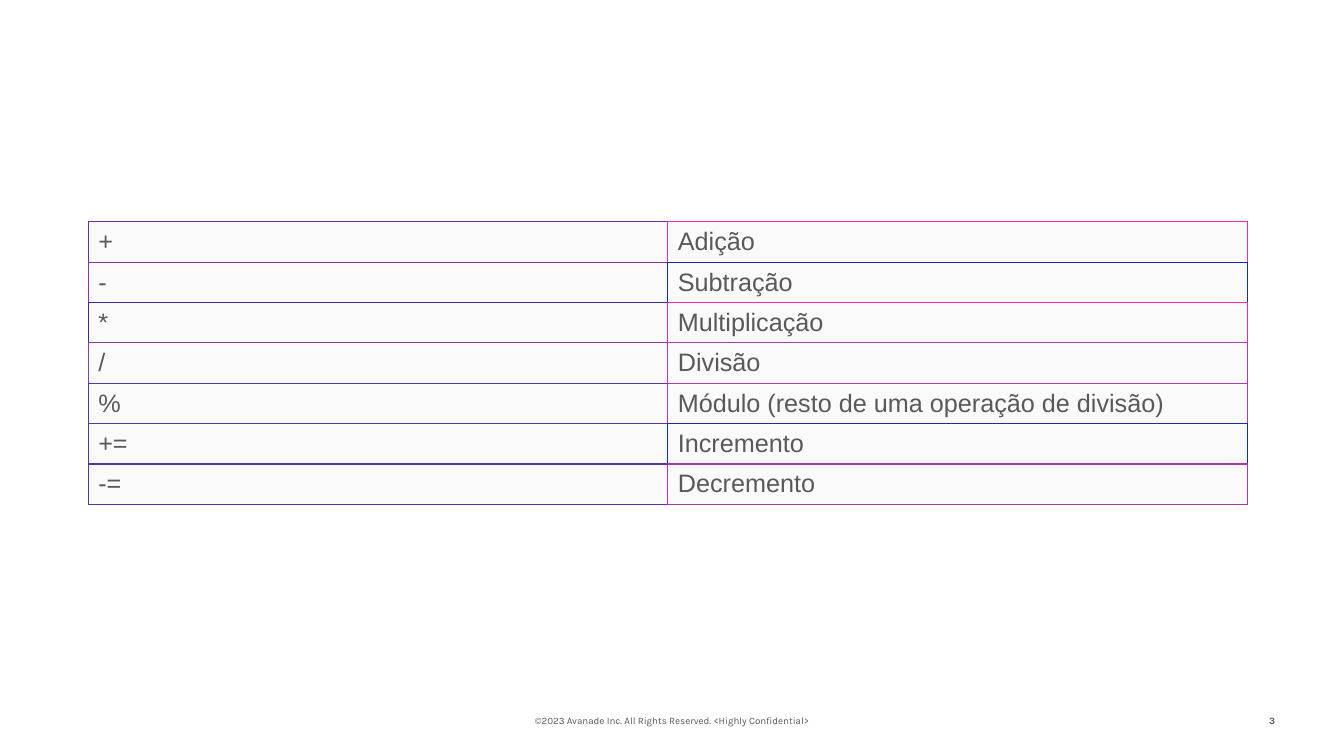
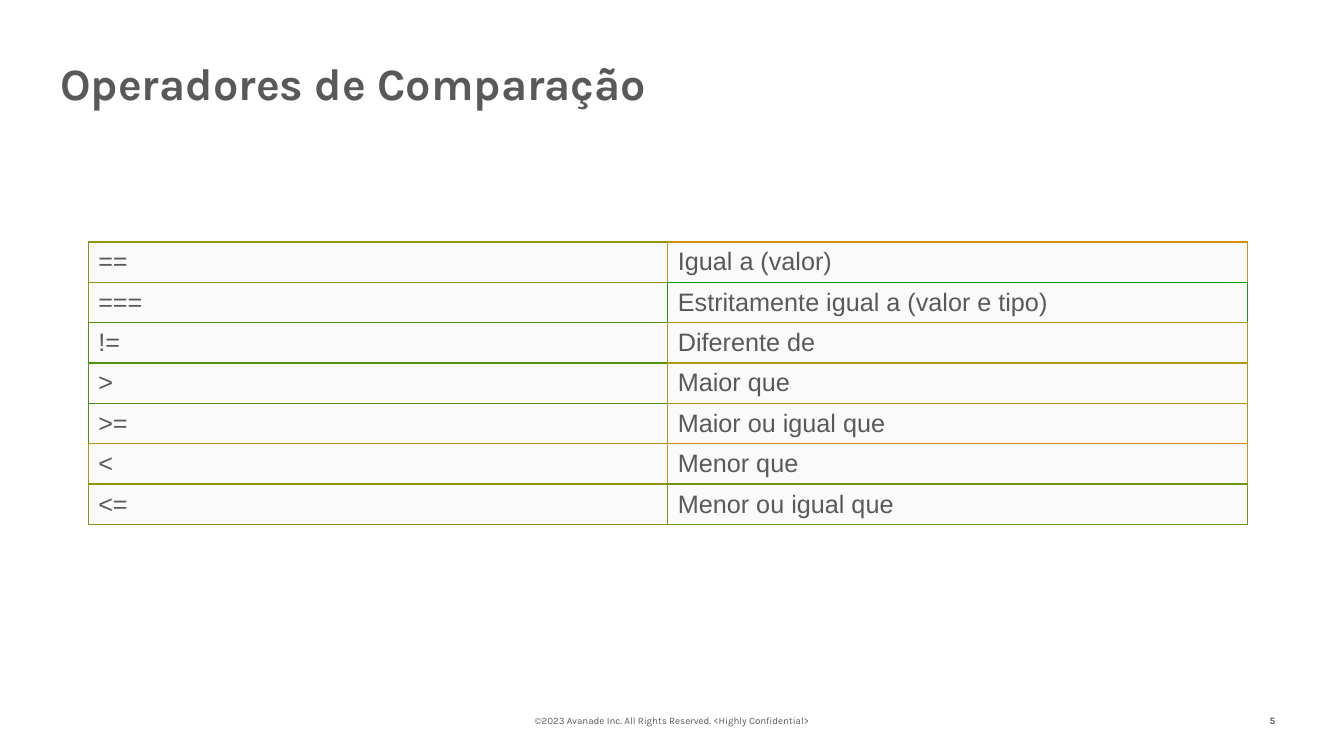
from lxml.etree import SubElement
from pptx import Presentation
from pptx.dml.color import RGBColor
from pptx.enum.text import MSO_ANCHOR, PP_ALIGN
from pptx.oxml.ns import qn
from pptx.util import Pt

GREY = RGBColor(0x59, 0x59, 0x59)
CELL_FILL = RGBColor(0xFA, 0xFA, 0xFA)
FOOTER = "©2023 Avanade Inc. All Rights Reserved. <Highly Confidential>"

FOOTER_FONT = {"name": "Karla", "size": Pt(7)}
NUMBER_FONT = {"name": "Karla", "size": Pt(7), "bold": True}
TITLE_FONT = {"name": "Karla", "size": Pt(32), "bold": True}
CELL_FONT = {"name": "Arial", "size": Pt(18)}

TABLE_LEFT, COLUMN_WIDTH, ROW_HEIGHT = 63, 414, 27.4

# Each row: operator, its border colour, meaning, its border colour
SLIDES = [
    {"number": "3", "title": None, "table_top": 158.4, "operators": [
        ("+", "702AB0", "Adição", "F02AB0"),
        ("-", "902CB0", "Subtração", "102CB0"),
        ("*", "302DB0", "Multiplicação", "F029B0"),
        ("/", "9036B0", "Divisão", "B038B0"),
        ("%", "5034B0", "Módulo (resto de uma operação de divisão)", "B038B0"),
        ("+=", "5034B0", "Incremento", "1032B0"),
        ("-=", "5034B0", "Decremento", "B032B0"),
    ]},
    {"number": "5", "title": "Operadores de Comparação", "table_top": 172.8, "operators": [
        ("==", "90940F", "Igual a (valor)", "D0910F"),
        ("===", "90930F", "Estritamente igual a (valor e tipo)", "10990F"),
        ("!=", "50920F", "Diferente de", "B0980F"),
        (">", "50920F", "Maior que", "B0980F"),
        (">=", "50910F", "Maior ou igual que", "B0920F"),
        ("<", "B0920F", "Menor que", "D0920F"),
        ("<=", "90950F", "Menor ou igual que", "70960F"),
    ]},
]


def write(frame, text, font_values, align=PP_ALIGN.LEFT, anchor=MSO_ANCHOR.MIDDLE):
    """Fill a text frame with one formatted paragraph."""
    frame.word_wrap = True
    frame.vertical_anchor = anchor
    paragraph = frame.paragraphs[0]
    paragraph.alignment = align
    run = paragraph.add_run()
    run.text = text
    for attribute, value in font_values.items():
        setattr(run.font, attribute, value)
    run.font.color.rgb = GREY


def set_borders(cell, colours):
    """Draw 1 pt borders, with colours keyed by side: L, R, T, B."""
    properties = cell._tc.get_or_add_tcPr()
    for side, colour in colours.items():
        line = SubElement(properties, qn(f"a:ln{side}"), w=str(Pt(1)))
        fill = SubElement(line, qn("a:solidFill"))
        SubElement(fill, qn("a:srgbClr"), val=colour)


presentation = Presentation()
presentation.slide_width, presentation.slide_height = Pt(960), Pt(540)
blank_layout = presentation.slide_layouts[6]

for content in SLIDES:
    slide = presentation.slides.add_slide(blank_layout)
    shapes = slide.shapes

    footer = shapes.add_textbox(Pt(318), Pt(500.4), Pt(324), Pt(28.8))
    write(footer.text_frame, FOOTER, FOOTER_FONT, PP_ALIGN.CENTER)
    number = shapes.add_textbox(Pt(883.4), Pt(500.4), Pt(34.6), Pt(28.8))
    write(number.text_frame, content["number"], NUMBER_FONT, PP_ALIGN.RIGHT)

    if content["title"]:
        title = shapes.add_textbox(Pt(36), Pt(36), Pt(882), Pt(77.8))
        write(title.text_frame, content["title"], TITLE_FONT, anchor=MSO_ANCHOR.TOP)

    operators = content["operators"]
    operator_table = shapes.add_table(
        len(operators), 2, Pt(TABLE_LEFT), Pt(content["table_top"]),
        Pt(2 * COLUMN_WIDTH), Pt(len(operators) * ROW_HEIGHT)).table
    operator_table.first_row = operator_table.horz_banding = False

    # A shared edge takes the colour of the cell to its right or below it
    colours = [(row[1], row[3]) for row in operators]
    for row_index, (symbol, _, meaning, _) in enumerate(operators):
        operator_table.rows[row_index].height = Pt(ROW_HEIGHT)
        below = colours[min(row_index + 1, len(operators) - 1)]
        for column, text in enumerate((symbol, meaning)):
            cell = operator_table.cell(row_index, column)
            own = colours[row_index][column]
            set_borders(cell, {"L": own, "R": colours[row_index][1],
                               "T": own, "B": below[column]})
            cell.fill.solid()
            cell.fill.fore_color.rgb = CELL_FILL
            cell.vertical_anchor = MSO_ANCHOR.MIDDLE
            write(cell.text_frame, text, CELL_FONT)

presentation.save("out.pptx")
